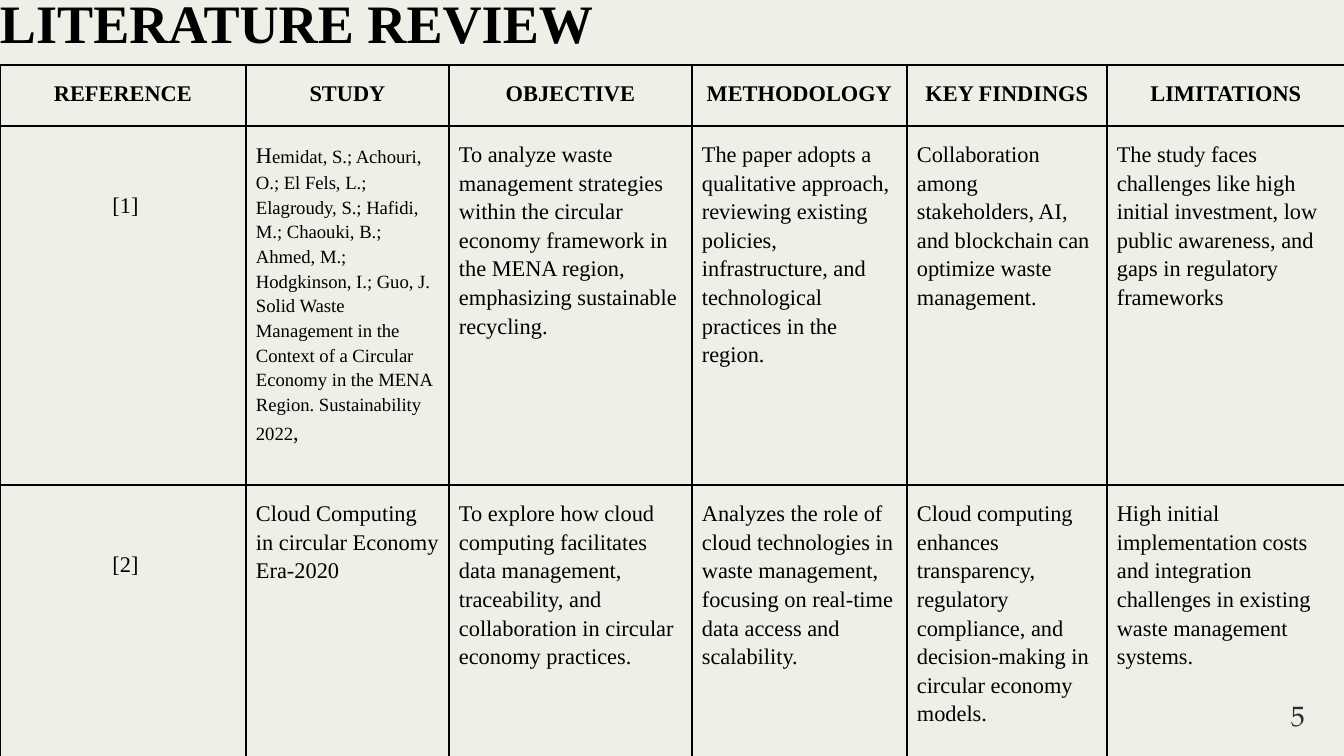
import pptx
import pptx.dml.color
import pptx.enum.text
import pptx.oxml
import pptx.oxml.ns
import pptx.util

SCALE = 6804
COLORS = {"background": "EFEEE7", "ink": "000000", "number": "2B2C30"}
BODY_FONT = "Times New Roman"
NUMBER_FONT = "TeX Gyre Pagella"
COLUMN_WIDTHS = [246, 203, 243, 215, 200, 238]
ROW_HEIGHTS = [61, 310, 259]
HEADERS = ["REFERENCE", "STUDY", "OBJECTIVE", "METHODOLOGY", "KEY FINDINGS", "LIMITATIONS"]
CITATION = [
    ("H", 12),
    ("emidat, S.; Achouri, O.; El Fels, L.; Elagroudy, S.; Hafidi, M.; Chaouki, B.; "
     "Ahmed, M.; Hodgkinson, I.; Guo, J. Solid Waste Management in the Context of a "
     "Circular Economy in the MENA Region. Sustainability 2022", 10),
    (",", 12),
]
STUDIES = [
    [
        "[1]",
        CITATION,
        "To analyze waste management strategies within the circular economy framework "
        "in the MENA region, emphasizing sustainable recycling.",
        "The paper adopts a qualitative approach, reviewing existing policies, "
        "infrastructure, and technological practices in the region.",
        "Collaboration among stakeholders, AI, and blockchain can optimize waste management.",
        "The study faces challenges like high initial investment, low public awareness, "
        "and gaps in regulatory frameworks",
    ],
    [
        "[2]",
        "Cloud Computing in circular Economy Era-2020",
        "To explore how cloud computing facilitates data management, traceability, and "
        "collaboration in circular economy practices.",
        "Analyzes the role of cloud technologies in waste management, focusing on "
        "real-time data access and scalability.",
        "Cloud computing enhances transparency, regulatory compliance, and "
        "decision-making in circular economy models.",
        "High initial implementation costs and integration challenges in existing waste "
        "management systems.",
    ],
]


def px(length):
    return pptx.util.Emu(length * SCALE)


def rgb(name):
    return pptx.dml.color.RGBColor.from_string(COLORS[name])


def add_run(paragraph, text, size, color="ink", font=BODY_FONT, bold=False):
    run = paragraph.add_run()
    run.text = text
    run.font.name = font
    run.font.size = pptx.util.Pt(size)
    run.font.bold = bold
    run.font.color.rgb = rgb(color)


def space_paragraph(paragraph, line, before=0, after=0):
    paragraph.line_spacing = line
    paragraph.space_before = pptx.util.Pt(before)
    paragraph.space_after = pptx.util.Pt(after)


def add_text_box(slide, box, indent=0):
    frame = slide.shapes.add_textbox(*map(px, box)).text_frame
    frame.word_wrap = True
    frame.margin_left = px(indent)
    frame.margin_top = frame.margin_right = frame.margin_bottom = 0
    return frame.paragraphs[0]


def add_title(slide, box):
    paragraph = add_text_box(slide, box)
    space_paragraph(paragraph, 1.15, 12, 12)
    add_run(paragraph, "LITERATURE REVIEW", 29, bold=True)


def add_page_number(slide, box):
    paragraph = add_text_box(slide, box, indent=21)
    space_paragraph(paragraph, 0.91)
    add_run(paragraph, "5", 15, "number", NUMBER_FONT)


def add_borders(cell):
    properties = cell._tc.get_or_add_tcPr()
    namespace = pptx.oxml.ns.nsdecls("a")
    for index, side in enumerate(("lnL", "lnR", "lnT", "lnB")):
        properties.insert(index, pptx.oxml.parse_xml(
            f'<a:{side} {namespace} w="12700"><a:solidFill>'
            f'<a:srgbClr val="{COLORS["ink"]}"/></a:solidFill></a:{side}>'))


def fill_cell(cell, content, header, reference, after):
    cell.fill.background()
    add_borders(cell)
    cell.margin_left = px(15 if reference else 10)
    cell.margin_right = px(10)
    cell.margin_top = px(64 if reference else 13)
    cell.margin_bottom = px(13)
    paragraph = cell.text_frame.paragraphs[0]
    if header or reference:
        paragraph.alignment = pptx.enum.text.PP_ALIGN.CENTER
    if isinstance(content, str):
        space_paragraph(paragraph, 1.15, 12, after)
        content = [(content, 12)]
    else:
        space_paragraph(paragraph, 1.2, 0, after)
    for text, size in content:
        add_run(paragraph, text, size, bold=header)


def add_review_table(slide, left, top):
    rows = [HEADERS] + STUDIES
    table = slide.shapes.add_table(
        len(rows), len(HEADERS), px(left), px(top),
        px(sum(COLUMN_WIDTHS)), px(sum(ROW_HEIGHTS))).table
    table.first_row = table.horz_banding = False
    for column, width in zip(table.columns, COLUMN_WIDTHS):
        column.width = px(width)
    for row, height in zip(table.rows, ROW_HEIGHTS):
        row.height = px(height)
    for row_index, contents in enumerate(rows):
        for column_index, content in enumerate(contents):
            header = row_index == 0
            reference = column_index == 0 and not header
            after = 12 if row_index == 1 and not reference else 0
            fill_cell(table.cell(row_index, column_index), content, header, reference, after)


def main():
    presentation = pptx.Presentation()
    presentation.slide_width = px(1344)
    presentation.slide_height = px(756)
    slide = presentation.slides.add_slide(presentation.slide_layouts[6])
    slide.background.fill.solid()
    slide.background.fill.fore_color.rgb = rgb("background")
    add_title(slide, (0, -20, 1193, 66))
    add_review_table(slide, 0, 65)
    add_page_number(slide, (1270, 702, 42, 31))
    presentation.save("out.pptx")


if __name__ == "__main__":
    main()
